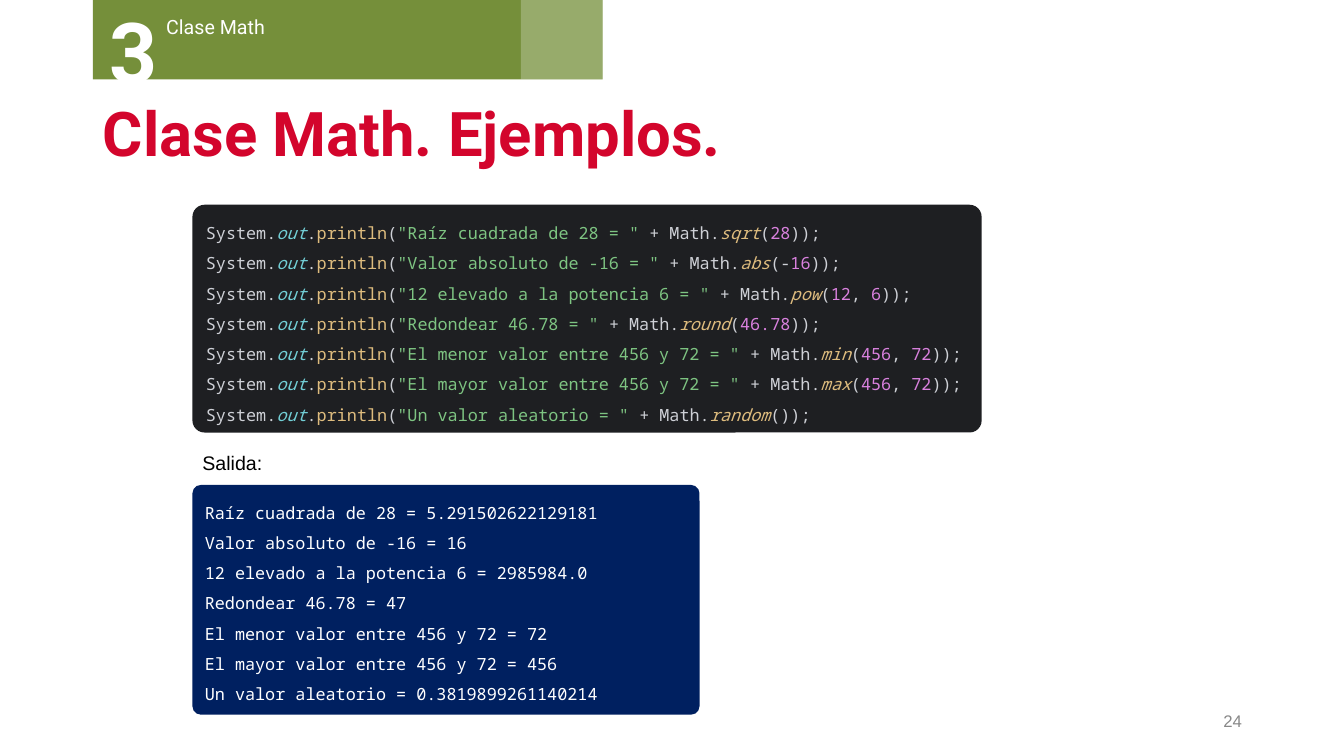
"""Build the slide with examples of the Math class and their console output."""
from dataclasses import dataclass
from typing import Iterator, Optional

from lxml import etree
from pptx import Presentation
from pptx import util as u
from pptx.dml.color import RGBColor
from pptx.enum import shapes, text
from pptx.oxml import ns

CRIMSON = RGBColor(0xD3, 0x05, 0x2C)
OLIVE = RGBColor(0x75, 0x8F, 0x3A)
NAVY = RGBColor(0x00, 0x20, 0x60)
WHITE = RGBColor(0xFF, 0xFF, 0xFF)
BLACK = RGBColor(0x00, 0x00, 0x00)
PAGE_GRAY = RGBColor(0x88, 0x88, 0x88)
EDITOR = RGBColor(0x1E, 0x1F, 0x22)
PLAIN = RGBColor(0xCE, 0xD0, 0xD6)
FIELD = RGBColor(0x72, 0xCF, 0xD6)
METHOD = RGBColor(0xDE, 0xBC, 0x7E)
STRING = RGBColor(0x7E, 0xC4, 0x82)
NUMBER = RGBColor(0xD9, 0x81, 0xDE)

MONO = "Noto Sans Mono"
LEFT = text.PP_ALIGN.LEFT
RIGHT = text.PP_ALIGN.RIGHT
TOP = text.MSO_ANCHOR.TOP
MIDDLE = text.MSO_ANCHOR.MIDDLE


@dataclass(frozen=True)
class Box:
    left: float
    top: float
    width: float
    height: float

    def lengths(self) -> tuple:
        return tuple(u.Cm(n) for n in (self.left, self.top, self.width, self.height))


@dataclass(frozen=True)
class Style:
    name: str
    size: float
    color: RGBColor
    bold: bool = False
    italic: bool = False


@dataclass(frozen=True)
class Label:
    words: str
    box: Box
    style: Style
    wrap: bool = True
    align: text.PP_ALIGN = LEFT
    anchor: text.MSO_ANCHOR = TOP


@dataclass(frozen=True)
class Example:
    caption: str
    method: str
    arguments: tuple
    result: str


EXAMPLES = [
    Example("Raíz cuadrada de 28 = ", "sqrt", ("28",), "5.291502622129181"),
    Example("Valor absoluto de -16 = ", "abs", ("-16",), "16"),
    Example("12 elevado a la potencia 6 = ", "pow", ("12", "6"), "2985984.0"),
    Example("Redondear 46.78 = ", "round", ("46.78",), "47"),
    Example("El menor valor entre 456 y 72 = ", "min", ("456", "72"), "72"),
    Example("El mayor valor entre 456 y 72 = ", "max", ("456", "72"), "456"),
    Example("Un valor aleatorio = ", "random", (), "0.3819899261140214"),
]

TITLE = Label("Clase Math. Ejemplos.", Box(2.34, 2.36, 29.21, 2.18),
              Style("Roboto", 44, CRIMSON, bold=True), anchor=MIDDLE)
PAGE = Label("24", Box(23.93, 17.65, 7.62, 1.02), Style("Arial", 12, PAGE_GRAY),
             align=RIGHT, anchor=MIDDLE)
OUTPUT = Label("Salida:", Box(4.85, 11.23, 2.03, 0.86), Style("Arial", 14, BLACK), wrap=False)
CHAPTER = Label("Clase Math", Box(3.94, 0.25, 6.99, 0.86), Style("Roboto", 14, WHITE))
CHAPTER_NUMBER = Label("3", Box(2.51, -0.13, 2.84, 2.82), Style("Roboto", 60, WHITE, bold=True))


def add_run(paragraph, words: str, style: Style) -> None:
    run = paragraph.add_run()
    run.text = words
    values = {"name": style.name, "size": u.Pt(style.size),
              "bold": style.bold, "italic": style.italic}
    for attribute, value in values.items():
        setattr(run.font, attribute, value)
    run.font.color.rgb = style.color


def fill_label(shape, label: Label) -> None:
    frame = shape.text_frame
    values = {"word_wrap": label.wrap, "vertical_anchor": label.anchor,
              "auto_size": text.MSO_AUTO_SIZE.NONE}
    for attribute, value in values.items():
        setattr(frame, attribute, value)
    frame.paragraphs[0].alignment = label.align
    add_run(frame.paragraphs[0], label.words, label.style)


def add_label(slide, label: Label) -> None:
    fill_label(slide.shapes.add_textbox(*label.box.lengths()), label)


def add_title(slide, label: Label) -> None:
    title = slide.shapes.title
    for attribute, value in zip(("left", "top", "width", "height"), label.box.lengths()):
        setattr(title, attribute, value)
    fill_label(title, label)
    title.text_frame.paragraphs[0].line_spacing = 0.9


def add_block(slide, box: Box, color: RGBColor, rounding: Optional[float] = None,
              opacity: Optional[int] = None):
    preset = shapes.MSO_SHAPE.RECTANGLE if rounding is None else shapes.MSO_SHAPE.ROUNDED_RECTANGLE
    block = slide.shapes.add_shape(preset, *box.lengths())
    block.shadow.inherit = False
    block.fill.solid()
    block.fill.fore_color.rgb = color
    block.line.fill.background()
    if rounding is not None:
        block.adjustments[0] = rounding
    if opacity is not None:
        tone = block.fill._xPr.find(".//" + ns.qn("a:srgbClr"))
        etree.SubElement(tone, ns.qn("a:alpha"), val=str(opacity * 1000))
    return block


def code_tokens(example: Example) -> Iterator[tuple]:
    yield "System.", PLAIN, False
    yield "out", FIELD, True
    yield ".", PLAIN, False
    yield "println", METHOD, False
    yield "(", PLAIN, False
    yield f'"{example.caption}" ', STRING, False
    yield "+ Math.", PLAIN, False
    yield example.method, METHOD, True
    opening = "("
    for argument in example.arguments:
        yield opening + "-" * argument.startswith("-"), PLAIN, False
        yield argument.lstrip("-"), NUMBER, False
        opening = ", "
    yield "));" if example.arguments else "());", PLAIN, False


def add_code(slide) -> None:
    frame = add_block(slide, Box(4.85, 5.16, 19.89, 5.74), EDITOR, 0.053).text_frame
    frame.word_wrap = False
    frame.vertical_anchor = MIDDLE
    paragraph = frame.paragraphs[0]
    paragraph.alignment = LEFT
    paragraph.line_spacing = 1.5
    for index, example in enumerate(EXAMPLES):
        if index:
            paragraph.add_line_break()
        for words, color, italic in code_tokens(example):
            add_run(paragraph, words, Style(MONO, 12, color, italic=italic))


def add_console(slide) -> None:
    frame = add_block(slide, Box(4.85, 12.22, 12.78, 5.79), NAVY, 0.037).text_frame
    frame.word_wrap = True
    frame.vertical_anchor = TOP
    for index, example in enumerate(EXAMPLES):
        paragraph = frame.add_paragraph() if index else frame.paragraphs[0]
        paragraph.alignment = LEFT
        paragraph.line_spacing = 1.5
        add_run(paragraph, example.caption + example.result, Style(MONO, 12, WHITE))


def main() -> None:
    deck = Presentation()
    deck.slide_width, deck.slide_height = u.Cm(33.87), u.Cm(19.05)
    slide = deck.slides.add_slide(deck.slide_layouts[5])
    add_title(slide, TITLE)
    add_label(slide, PAGE)
    add_code(slide)
    add_console(slide)
    add_label(slide, OUTPUT)
    add_block(slide, Box(2.34, 0, 12.85, 2), OLIVE)
    add_label(slide, CHAPTER)
    add_label(slide, CHAPTER_NUMBER)
    add_block(slide, Box(13.13, 0, 2.06, 2), WHITE, opacity=25)
    deck.save("out.pptx")


if __name__ == "__main__":
    main()
